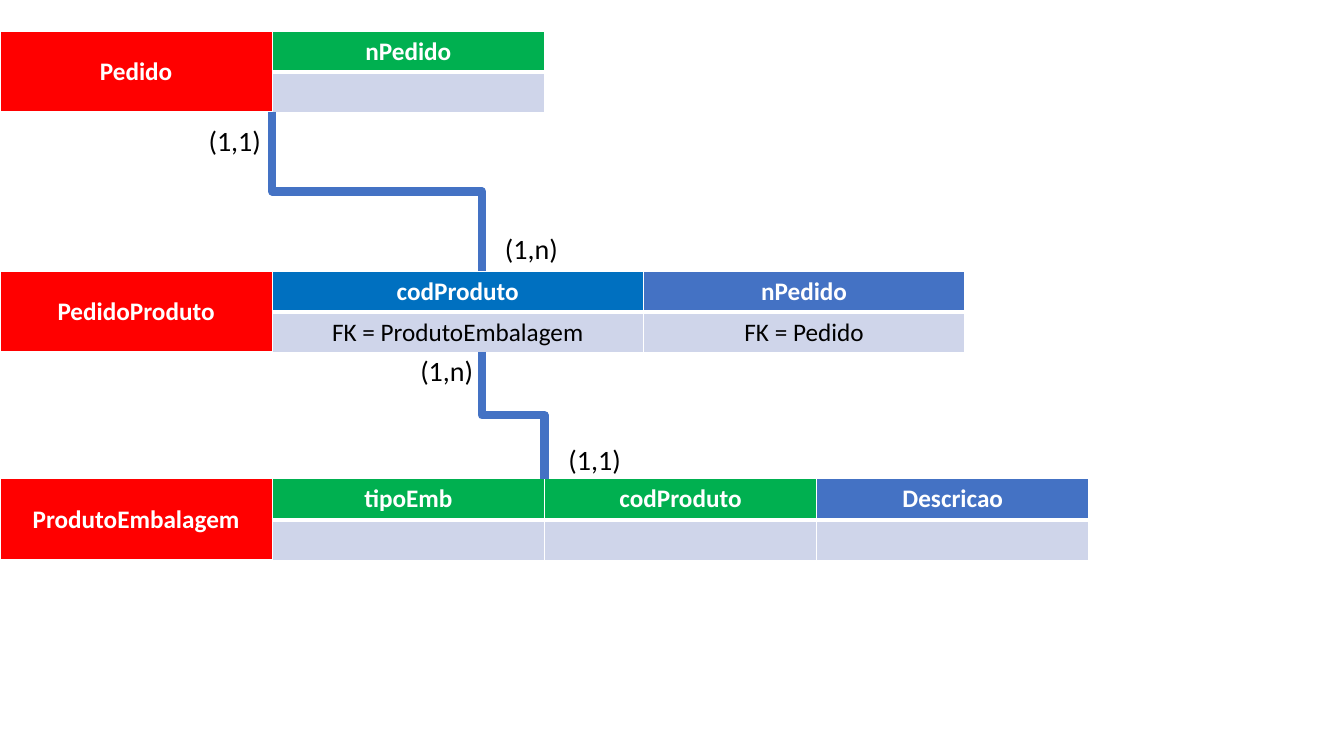
import pptx
import pptx.dml.color
import pptx.enum.shapes
import pptx.enum.text
import pptx.oxml
import pptx.oxml.ns
import pptx.util

Inches = pptx.util.Inches
Pt = pptx.util.Pt

THEME = {
    "font": "Calibri",
    "table_size": 18,
    "label_size": 20,
    "entity": "FF0000",
    "key": "00B050",
    "foreign_key": "0070C0",
    "plain": "4472C4",
    "value": "CFD5EA",
    "line": "4472C4",
    "light": "FFFFFF",
    "dark": "000000",
}
ROW_HEIGHT = 0.4


def style_text(frame, size, color, bold=False):
    for paragraph in frame.paragraphs:
        for run in paragraph.runs:
            run.font.name = THEME["font"]
            run.font.size = Pt(size)
            run.font.bold = bold
            run.font.color.rgb = pptx.dml.color.RGBColor.from_string(THEME[color])


def fill_cell(cell, text, fill, color, bold, top, bottom):
    properties = cell._tc.get_or_add_tcPr()
    for side, width in (("L", 1), ("R", 1), ("T", top), ("B", bottom)):
        properties.append(pptx.oxml.parse_xml(
            f'<a:ln{side} {pptx.oxml.ns.nsdecls("a")} w="{Pt(width)}"><a:solidFill>'
            f'<a:srgbClr val="{THEME["light"]}"/></a:solidFill></a:ln{side}>'))
    cell.fill.solid()
    cell.fill.fore_color.rgb = pptx.dml.color.RGBColor.from_string(THEME[fill])
    cell.vertical_anchor = pptx.enum.text.MSO_ANCHOR.MIDDLE
    cell.text_frame.text = text
    cell.text_frame.paragraphs[0].alignment = pptx.enum.text.PP_ALIGN.CENTER
    style_text(cell.text_frame, THEME["table_size"], color, bold)


presentation = pptx.Presentation()
presentation.slide_width = Inches(13.33)
presentation.slide_height = Inches(7.5)
slide = presentation.slides.add_slide(presentation.slide_layouts[6])

# Entities: name, top, column widths, fields as (name, fill, value)
entities = [
    ("Pedido", 0.31, [2.7, 2.7], [("nPedido", "key", "")]),
    ("PedidoProduto", 2.69, [2.7, 3.68, 3.19],
     [("codProduto", "foreign_key", "FK = ProdutoEmbalagem"),
      ("nPedido", "plain", "FK = Pedido")]),
    ("ProdutoEmbalagem", 4.75, [2.7] * 4,
     [("tipoEmb", "key", ""), ("codProduto", "key", ""), ("Descricao", "plain", "")]),
]
for entity, top, widths, fields in entities:
    table = slide.shapes.add_table(
        2, len(widths), 0, Inches(top), Inches(sum(widths)), Inches(2 * ROW_HEIGHT)).table
    for column, width in zip(table.columns, widths):
        column.width = Inches(width)
    table.cell(0, 0).merge(table.cell(1, 0))
    fill_cell(table.cell(0, 0), entity, "entity", "light", True, 1, 3)
    for index, (field, fill, value) in enumerate(fields, start=1):
        fill_cell(table.cell(0, index), field, fill, "light", True, 1, 3)
        fill_cell(table.cell(1, index), value, "value", "dark", False, 3, 1)

# Relationships: elbows that leave downwards, so each is laid out turned by 270 degrees
for x1, y1, x2, y2 in [(2.7, 1.11, 4.78, 2.69), (4.78, 3.49, 5.4, 4.75)]:
    center_x, center_y = (x1 + x2) / 2, (y1 + y2) / 2
    half_run, half_drop = (x2 - x1) / 2, (y2 - y1) / 2
    relationship = slide.shapes.add_connector(
        pptx.enum.shapes.MSO_CONNECTOR.ELBOW,
        Inches(center_x + half_drop), Inches(center_y - half_run),
        Inches(center_x - half_drop), Inches(center_y + half_run))
    relationship.line.color.rgb = pptx.dml.color.RGBColor.from_string(THEME["line"])
    relationship.line.width = Pt(6)
    shape_properties = relationship._element.spPr
    shape_properties.xfrm.set("rot", str(270 * 60000))
    shape_properties.append(
        pptx.oxml.parse_xml(f'<a:effectLst {pptx.oxml.ns.nsdecls("a")}/>'))

# Cardinalities
for cardinality, left, top in [("(1,1)", 1.97, 1.18), ("(1,n)", 4.91, 2.25),
                               ("(1,n)", 4.07, 3.46), ("(1,1)", 5.54, 4.34)]:
    label = slide.shapes.add_textbox(Inches(left), Inches(top), Inches(0.73), Inches(0.44))
    label.text_frame.word_wrap = False
    label.text_frame.auto_size = pptx.enum.text.MSO_AUTO_SIZE.SHAPE_TO_FIT_TEXT
    label.text_frame.text = cardinality
    style_text(label.text_frame, THEME["label_size"], "dark")

presentation.save("out.pptx")
